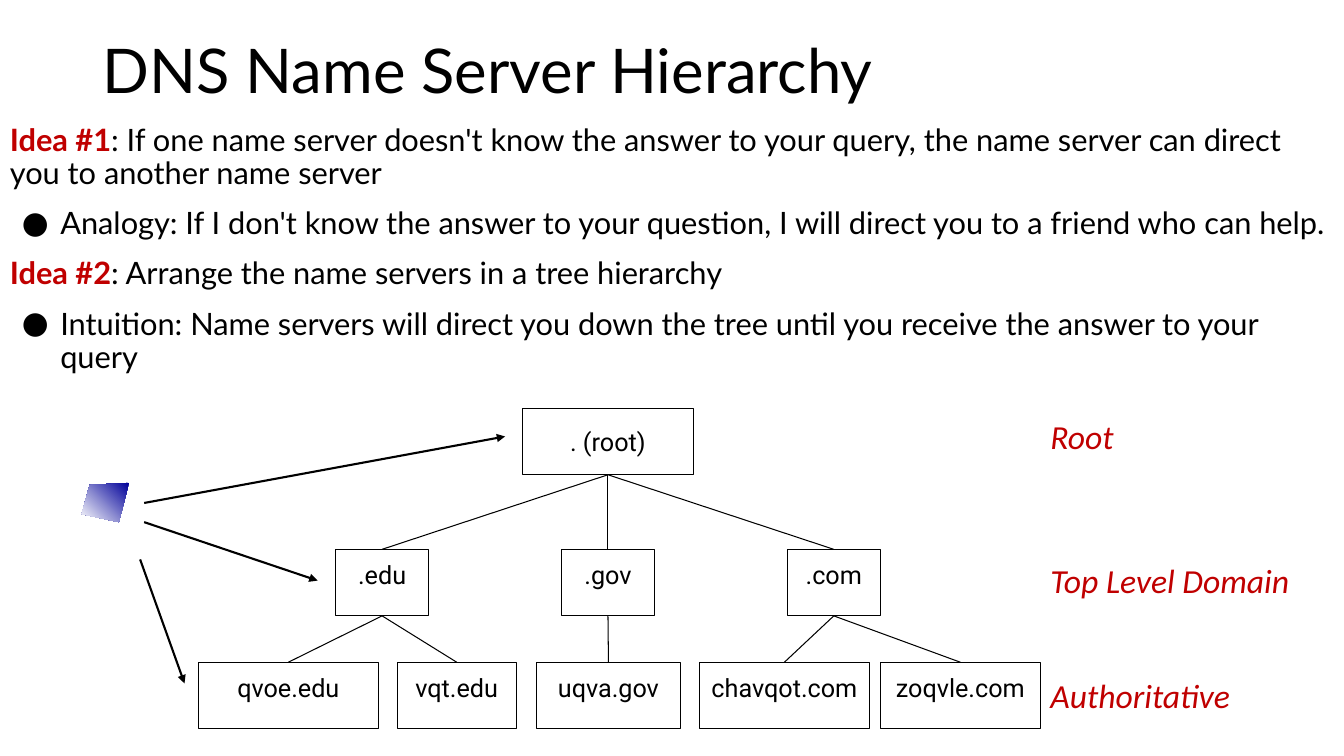
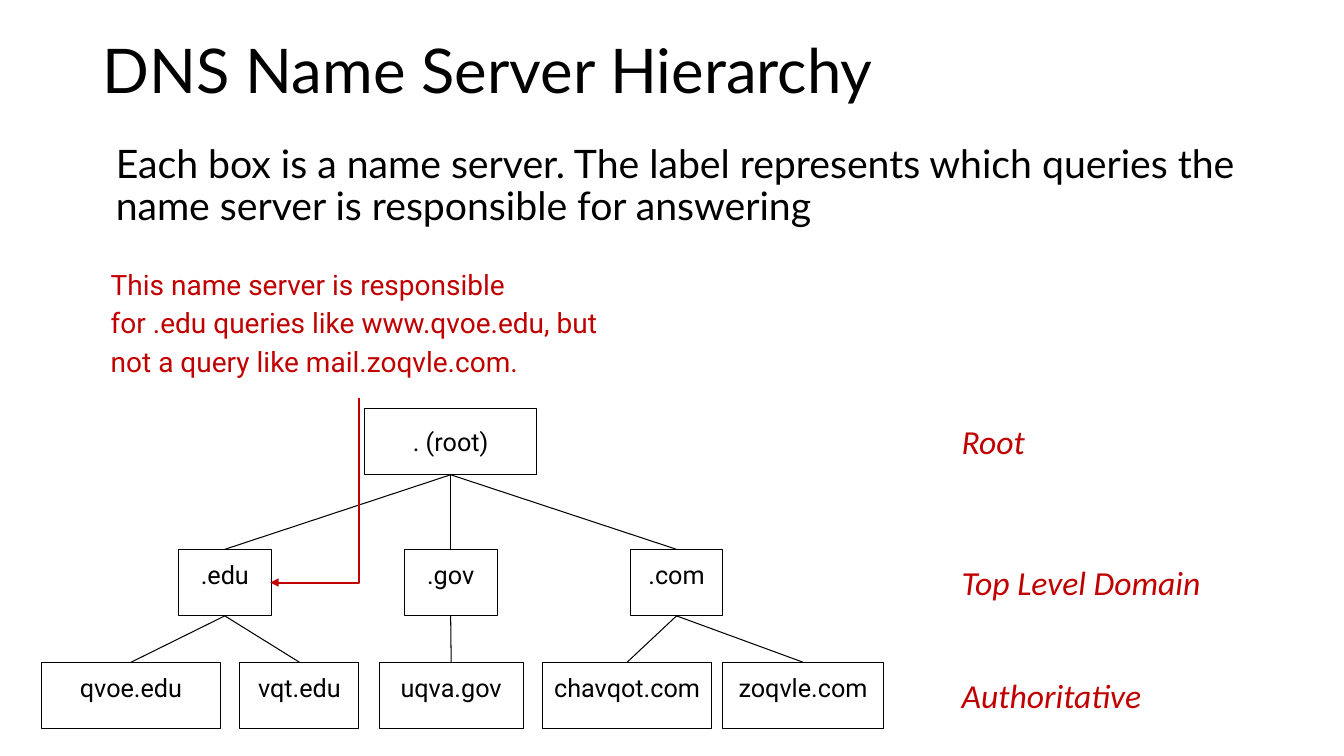
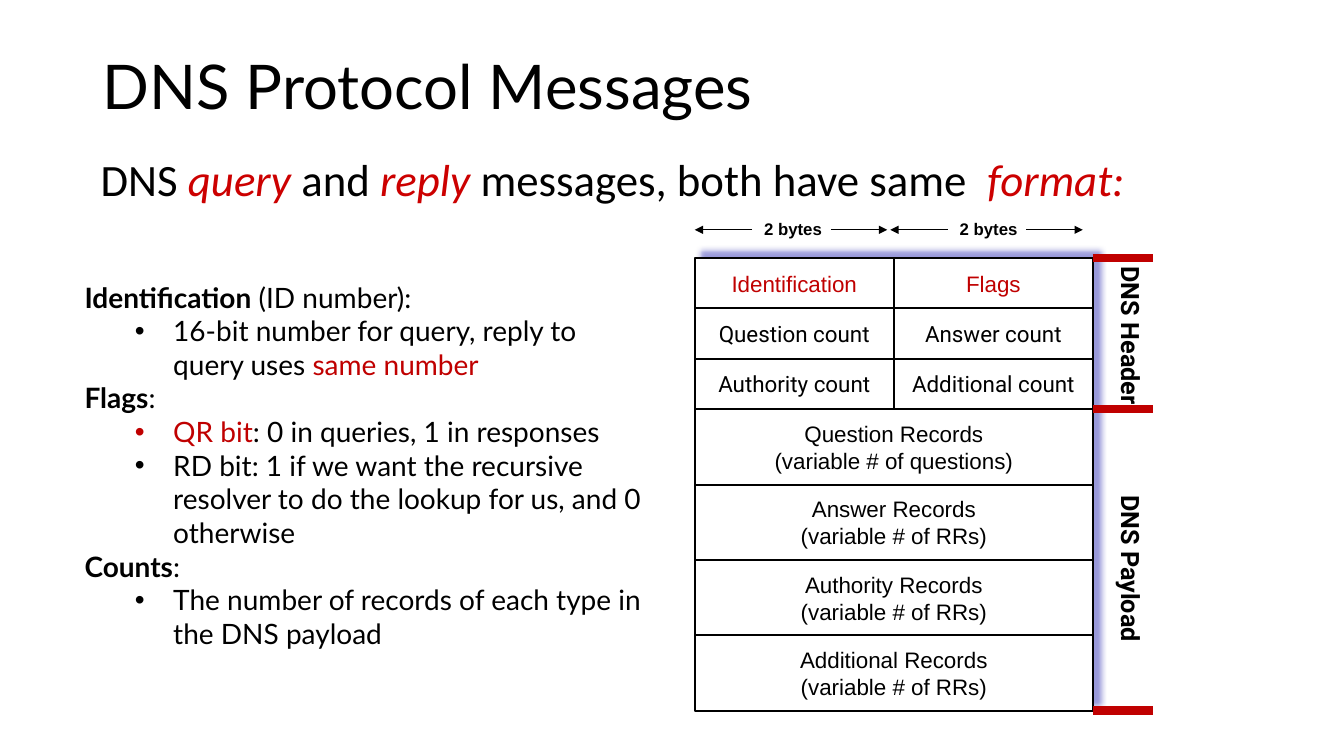
import pptx
import pptx.util
import pptx.dml.color
import pptx.enum.shapes
import pptx.enum.text
import pptx.oxml
import pptx.oxml.ns

Inches = pptx.util.Inches
Pt = pptx.util.Pt
RGBColor = pptx.dml.color.RGBColor
qn = pptx.oxml.ns.qn
SHAPE = pptx.enum.shapes.MSO_SHAPE
LINE = pptx.enum.shapes.MSO_CONNECTOR
ALIGN = pptx.enum.text.PP_ALIGN
ANCHOR = pptx.enum.text.MSO_ANCHOR

BLACK = RGBColor(0x00, 0x00, 0x00)
WHITE = RGBColor(0xFF, 0xFF, 0xFF)
RED = RGBColor(0xC0, 0x00, 0x00)
BRIGHT_RED = RGBColor(0xCC, 0x00, 0x00)
NAVY = RGBColor(0x00, 0x00, 0x99)

SHADOW = (
    '<a:effectLst xmlns:a="http://schemas.openxmlformats.org/drawingml/2006/main">'
    '<a:outerShdw blurRad="50800" dist="88900" dir="18900000" algn="bl" rotWithShape="0">'
    '<a:srgbClr val="0000A3"><a:alpha val="40000"/></a:srgbClr></a:outerShdw></a:effectLst>'
)

DOMAINS = (
    (".edu", (("qvoe.edu", 0, 1.78), ("vqt.edu", 1.97, 1.18))),
    (".gov", (("uqva.gov", 3.35, 1.43),)),
    (".com", (("chavqot.com", 4.97, 1.68), ("zoqvle.com", 6.76, 1.59))),
)
LEVELS = ("Root", "Top Level Domain", "Authoritative")

HEADER_ROWS = (
    ("Identification", "Flags", "Arial", RED),
    ("Question count", "Answer count", "Roboto", BLACK),
    ("Authority count", "Additional count", "Roboto", BLACK),
)
RECORDS = (
    ("Question", "questions"),
    ("Answer", "RRs"),
    ("Authority", "RRs"),
    ("Additional", "RRs"),
)


def write(tf, *runs, size=18, font="Lato", color=BLACK, bold=False, italic=False,
          align=ALIGN.LEFT, spacing=None, before=0, after=0, left=0, hang=0,
          bullet=None, bullet_font="Arial"):
    """Add a paragraph; a run is a string or a (string, overrides) pair."""
    p = tf.paragraphs[0]
    if p.runs:
        p = tf.add_paragraph()
    p.alignment = align
    p.space_before, p.space_after = Pt(before), Pt(after)
    if spacing:
        p.line_spacing = spacing
    pPr = p._p.get_or_add_pPr()
    pPr.set("marL", str(Inches(left)))
    pPr.set("indent", str(Inches(-hang)))
    if bullet:
        pPr.append(pPr.makeelement(qn("a:buFont"), {"typeface": bullet_font}))
        pPr.append(pPr.makeelement(qn("a:buChar"), {"char": bullet}))
    for run in runs:
        text, own = (run, {}) if isinstance(run, str) else run
        for i, line in enumerate(text.split("\n")):
            if i:
                p.add_line_break()
            r = p.add_run()
            r.text = line
            r.font.name, r.font.size = font, Pt(size)
            r.font.bold = own.get("bold", bold)
            r.font.italic = own.get("italic", italic)
            r.font.color.rgb = own.get("color", color)


def set_frame(tf, pad=0.05, anchor=ANCHOR.TOP):
    """Set wrapping, vertical insets and anchor of a text frame."""
    tf.word_wrap = True
    tf.auto_size = pptx.enum.text.MSO_AUTO_SIZE.NONE
    tf.margin_left = tf.margin_right = Inches(0.1)
    tf.margin_top = tf.margin_bottom = Inches(pad)
    tf.vertical_anchor = anchor
    return tf


def text_box(s, x, y, w, h, pad=0.05, anchor=ANCHOR.TOP, rotation=0):
    """Add a text box and return its text frame."""
    sp = s.shapes.add_textbox(Inches(x), Inches(y), Inches(w), Inches(h))
    sp.rotation = rotation
    return set_frame(sp.text_frame, pad, anchor)


def add_line(s, x1, y1, x2, y2, color=BLACK, width=0.75, arrow=False, kind=LINE.STRAIGHT):
    """Add a line without shadow, with an optional arrowhead at its end."""
    c = s.shapes.add_connector(kind, Inches(x1), Inches(y1), Inches(x2), Inches(y2))
    c.line.color.rgb, c.line.width = color, Pt(width)
    if arrow:
        ln = c.line._get_or_add_ln()
        ln.append(ln.makeelement(qn("a:tailEnd"), {"type": "triangle"}))
    spPr = c._element.spPr
    spPr.append(spPr.makeelement(qn("a:effectLst"), {}))
    return c


def add_corner_arrow(s, x1, y1, x2, y2):
    """Add a red arrow that runs down and then left."""
    w, h = y2 - y1, x1 - x2
    x, y = (x1 + x2 - w) / 2, (y1 + y2 - h) / 2
    c = add_line(s, x, y, x + w, y + h, RED, 1.5, True, LINE.ELBOW)
    spPr = c._element.spPr
    spPr.find(qn("a:xfrm")).set("rot", "5400000")
    spPr.find(qn("a:prstGeom")).set("prst", "bentConnector2")


def add_rect(s, x, y, w, h, width=0.75):
    """Add an unfilled rectangle with a black outline."""
    sp = s.shapes.add_shape(SHAPE.RECTANGLE, Inches(x), Inches(y), Inches(w), Inches(h))
    sp.shadow.inherit = False
    sp.fill.background()
    sp.line.color.rgb, sp.line.width = BLACK, Pt(width)
    return sp


def add_slide(prs, title, y=0, h=1.45):
    """Add a slide with a formatted title."""
    s = prs.slides.add_slide(prs.slide_layouts[5])
    sp = s.shapes.title
    sp.left, sp.top, sp.width, sp.height = Inches(0.92), Inches(y), Inches(11.5), Inches(h)
    write(set_frame(sp.text_frame, anchor=ANCHOR.MIDDLE), title, size=44, spacing=0.9)
    return s


def add_node(s, label, x, y, w, anchor=ANCHOR.TOP, parent=None):
    """Add a name server box, joined to its parent."""
    sp = add_rect(s, x, y, w, 0.66)
    write(set_frame(sp.text_frame, 0.1, anchor), label, font="Roboto", align=ALIGN.CENTER)
    if parent is not None:
        c = add_line(s, x, y, x, y)
        c.begin_connect(parent, 2)
        c.end_connect(sp, 0)
    return sp


def add_tree(s, x, y):
    """Draw the name server tree from its top left corner."""
    root = add_node(s, ". (root)", x + 3.21, y, 1.7, ANCHOR.MIDDLE)
    for i, (domain, hosts) in enumerate(DOMAINS):
        node = add_node(s, domain, x + 1.36 + 2.24 * i, y + 1.4, 0.92, parent=root)
        for host, dx, w in hosts:
            add_node(s, host, x + dx, y + 2.52, w, parent=node)


def add_level_names(s, x, tops):
    """Name the levels of the tree."""
    for name, y in zip(LEVELS, tops):
        write(text_box(s, x, y, 2.8, 0.5), name, size=24, font="Calibri", color=RED, italic=True)


def add_client(s, x, y):
    """Draw the client and its three queries."""
    fb = s.shapes.build_freeform(Inches(x + 0.47), Inches(y), scale=1.0)
    corners = ((0.08, 0.02), (0, 0.31), (0.37, 0.39))
    fb.add_line_segments([(Inches(x + dx), Inches(y + dy)) for dx, dy in corners], close=True)
    sp = fb.convert_to_shape()
    sp.shadow.inherit = False
    sp.line.fill.background()
    sp.fill.gradient()
    sp.fill.gradient_angle = 225
    for stop, color, position in zip(sp.fill.gradient_stops, (NAVY, WHITE), (0, 1)):
        stop.color.rgb, stop.position = color, position
    for x1, y1, x2, y2 in ((0.62, 0.2, 4.2, -0.46), (0.62, 0.39, 2.34, 0.97), (0.58, 0.76, 1.02, 1.99)):
        add_line(s, x + x1, y + y1, x + x2, y + y2, width=1.5, arrow=True)


def ideas_slide(prs):
    """Build the slide on the two ideas behind the hierarchy."""
    s = add_slide(prs, "DNS Name Server Hierarchy")
    tf = text_box(s, 0, 1.14, 13.33, 2.43, 0.1)
    ideas = (
        ("Idea #1", ": If one name server doesn't know the answer to your query, the name server can direct you to another name server",
         "Analogy: If I don't know the answer to your question, I will direct you to a friend who can help."),
        ("Idea #2", ": Arrange the name servers in a tree hierarchy",
         "Intuition: Name servers will direct you down the tree until you receive the answer to your query"),
    )
    style = dict(size=22, spacing=0.9, before=6, after=6)
    for name, idea, detail in ideas:
        write(tf, (name, dict(color=RED, bold=True)), idea, **style)
        write(tf, detail, left=0.5, hang=0.38, bullet="●", bullet_font="Roboto", **style)
    add_tree(s, 1.97, 4.05)
    add_level_names(s, 10.32, (4.08, 5.51, 6.65))
    add_client(s, 0.81, 4.79)


def labels_slide(prs):
    """Build the slide on what the box labels mean."""
    s = add_slide(prs, "DNS Name Server Hierarchy")
    add_tree(s, 0.41, 4.05)
    add_level_names(s, 9.44, (4.13, 5.53, 6.65))
    write(text_box(s, 1.05, 1.33, 11.5, 1.45, 0.1),
          "Each box is a name server. The label represents which queries the name server is responsible for answering",
          size=28, spacing=0.9, before=6, after=6)
    write(text_box(s, 1, 2.5, 5.3, 1.45, 0.1),
          "This name server is responsible\nfor .edu queries like www.qvoe.edu, but\nnot a query like mail.zoqvle.com.",
          size=20, font="Roboto", color=RED, spacing=1.15, before=6)
    add_corner_arrow(s, 3.56, 3.95, 2.68, 5.78)


def add_byte_rulers(s, x, y):
    """Draw the two width rulers above the message."""
    for left in (x, x + 1.94):
        write(text_box(s, left, y - 0.16, 1.95, 0.3), "2 bytes", size=12, font="Arial",
              bold=True, align=ALIGN.CENTER)
        add_line(s, left + 0.57, y, left, y, arrow=True)
        add_line(s, left + 1.35, y, left + 1.91, y, arrow=True)


def add_message(s, x, y, w, h):
    """Draw the message format with its header and payload brackets."""
    frame = add_rect(s, x, y, w, h, 1.5)
    frame.fill.solid()
    frame.fill.fore_color.rgb = WHITE
    spPr = frame._element.spPr
    spPr.remove(spPr.find(qn("a:effectLst")))
    spPr.append(pptx.oxml.parse_xml(SHADOW))

    header_h, row_h, half = 1.5, 0.5, w / 2
    record_h = (h - header_h) / len(RECORDS)
    payload_y = y + header_h
    add_line(s, x + half, y, x + half, payload_y, width=1.5)
    for i, (first, second, font, color) in enumerate(HEADER_ROWS):
        row_y = y + row_h * i
        add_line(s, x, row_y + row_h, x + w, row_y + row_h, width=1.5)
        for j, label in enumerate((first, second)):
            write(text_box(s, x + half * j, row_y, half, row_h, anchor=ANCHOR.MIDDLE), label,
                  size=16, font=font, color=color, align=ALIGN.CENTER)
    for i, (name, unit) in enumerate(RECORDS):
        row_y = payload_y + record_h * i
        if i:
            add_line(s, x, row_y, x + w, row_y, width=1.5)
        write(text_box(s, x, row_y, w, record_h, anchor=ANCHOR.MIDDLE),
              f"{name} Records\n(variable # of {unit})", size=16, font="Arial", align=ALIGN.CENTER)

    for edge in (y, payload_y, y + h):
        add_line(s, x + w, edge, x + w + 0.6, edge, RED, 6)
    for label, middle, length in (("DNS Header", 3.33, 1.8), ("DNS Payload", 5.64, 2.98)):
        write(text_box(s, x + w + 0.38 - length / 2, middle - 0.25, length, 0.5, 0.1, rotation=90),
              label, font="Roboto", bold=True, align=ALIGN.CENTER)


def add_field_notes(s, x, y, w, h):
    """Explain the header fields."""
    tf = text_box(s, x, y, w, h)
    notes = (
        ("Identification", " (ID number):",
         (("16-bit number for query, reply to query uses ", ("same number", dict(color=RED))),)),
        ("Flags", ":",
         ((("QR bit", dict(color=RED)), ": 0 in queries, 1 in responses"),
          ("RD bit: 1 if we want the recursive resolver to do the lookup for us, and 0 otherwise",))),
        ("Counts", ":", (("The number of records of each type in the DNS payload",),)),
    )
    for field, rest, points in notes:
        write(tf, (field, dict(bold=True)), rest, size=20)
        for runs in points:
            write(tf, *runs, size=20, left=0.88, hang=0.38, bullet="•")


def messages_slide(prs):
    """Build the slide on the message format."""
    s = add_slide(prs, "DNS Protocol Messages", 0.4, 0.98)
    accent = dict(color=BRIGHT_RED, italic=True)
    write(text_box(s, 0.76, 1.52, 11.37, 0.56), "DNS ", ("query ", accent), "and ", ("reply", accent),
          " messages, both have same  ", ("format:", accent),
          size=32, font="Calibri", spacing=0.9, before=10, left=0.14)
    add_byte_rulers(s, 6.89, 2.28)
    add_message(s, 6.89, 2.56, 3.95, 4.49)
    add_field_notes(s, 0.74, 2.73, 5.76, 4.01)


def main():
    """Build and save the presentation."""
    prs = pptx.Presentation()
    prs.slide_width, prs.slide_height = Inches(13.33), Inches(7.5)
    ideas_slide(prs)
    labels_slide(prs)
    messages_slide(prs)
    prs.save("out.pptx")


if __name__ == "__main__":
    main()
